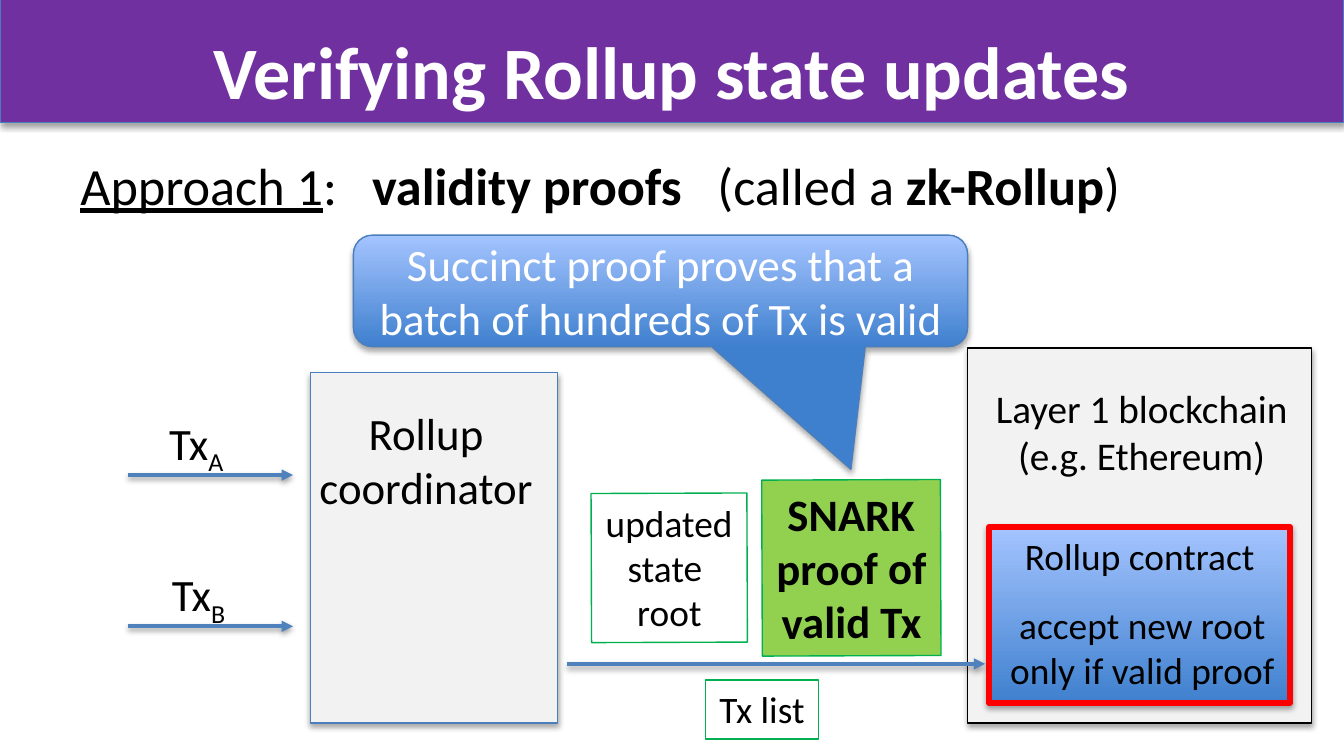
from dataclasses import dataclass

from lxml.etree import SubElement
from pptx import Presentation
from pptx.dml.color import RGBColor
from pptx.enum.shapes import MSO_CONNECTOR, MSO_SHAPE
from pptx.enum.text import MSO_ANCHOR, PP_ALIGN
from pptx.oxml.ns import qn
from pptx.util import Inches, Pt


@dataclass(frozen=True)
class Theme:
    font: str = "Calibri"
    title: float = 39.6
    body: float = 28
    label: float = 24
    chain: float = 21
    small: float = 20
    black: str = "000000"
    white: str = "FFFFFF"
    purple: str = "7030A0"
    edge: str = "4B7EBC"
    arrow: str = "4F81BD"
    panel: str = "F2F2F2"
    lime: str = "92D050"
    green: str = "00B050"
    red: str = "FF0000"
    gradient: tuple = ("3F80CE", "A4C4FF")


THEME = Theme()
COLUMNS, ROWS = 100, 56.25
CELL = Inches(10) / COLUMNS
BOLD = {"bold": True}
LINE_BREAK = ("\n", {})


def cells(*counts):
    """Turn counts of grid cells into lengths."""
    return [round(count * CELL) for count in counts]


def set_effects(shape, opacity=0, distance=1.8):
    """Replace the theme shadow with a soft one below, or with none."""
    effects = SubElement(shape._element.spPr, qn("a:effectLst"))
    if opacity:
        shadow = SubElement(effects, qn("a:outerShdw"), blurRad=str(Pt(3.1)),
                            dist=str(Pt(distance)), dir="5400000", rotWithShape="0")
        color = SubElement(shadow, qn("a:srgbClr"), val=THEME.black)
        SubElement(color, qn("a:alpha"), val=str(opacity * 1000))


def add_tabs(paragraph, stops):
    tabs = SubElement(paragraph._p.get_or_add_pPr(), qn("a:tabLst"))
    for stop in stops:
        SubElement(tabs, qn("a:tab"), pos=str(cells(stop)[0]), algn="l")


def add_run(paragraph, text, size, color, extra):
    run = paragraph.add_run()
    run.text = text
    run.font.color.rgb = RGBColor.from_string(color)
    values = {"name": THEME.font, "size": Pt(size), **extra}
    baseline = values.pop("baseline", None)
    for name, value in values.items():
        setattr(run.font, name, value)
    if baseline:
        run._r.get_or_add_rPr().set("baseline", str(baseline))


def write(shape, paragraphs, size, color=THEME.black, align=PP_ALIGN.CENTER,
          wrap=False, anchor=MSO_ANCHOR.TOP, tabs=()):
    """Fill a shape with paragraphs; each is a list of (text, format) runs."""
    frame = shape.text_frame
    frame.word_wrap = wrap
    frame.vertical_anchor = anchor
    for index, runs in enumerate(paragraphs):
        paragraph = frame.paragraphs[0] if index == 0 else frame.add_paragraph()
        paragraph.alignment = align
        if tabs:
            add_tabs(paragraph, tabs)
        for part in runs:
            if part == LINE_BREAK:
                paragraph.add_line_break()
            else:
                add_run(paragraph, part[0], size, color, part[1])


def lines(*texts, **extra):
    return [[(text, extra)] for text in texts]


def add_text(slide, box, paragraphs, size, **options):
    text_box = slide.shapes.add_textbox(*cells(*box))
    write(text_box, paragraphs, size, **options)


def add_box(slide, box, fill=None, line=THEME.edge, weight=0.75, shadow=True,
            kind=MSO_SHAPE.RECTANGLE, rotation=0):
    """Draw a preset shape; a tuple as fill gives a bottom-to-top gradient."""
    shape = slide.shapes.add_shape(kind, *cells(*box))
    shape.rotation = rotation
    if isinstance(fill, tuple):
        shape.fill.gradient()
        shape.fill.gradient_angle = 90
        for stop, color in zip(shape.fill.gradient_stops, fill):
            stop.color.rgb = RGBColor.from_string(color)
    elif fill:
        shape.fill.solid()
        shape.fill.fore_color.rgb = RGBColor.from_string(fill)
    else:
        shape.fill.background()
    shape.line.color.rgb = RGBColor.from_string(line)
    shape.line.width = Pt(weight)
    set_effects(shape, 35 if shadow else 0)
    return shape


def add_arrow(slide, left, right, row):
    arrow = slide.shapes.add_connector(MSO_CONNECTOR.STRAIGHT,
                                       *cells(left, row, right, row))
    arrow.line.color.rgb = RGBColor.from_string(THEME.arrow)
    arrow.line.width = Pt(2)
    SubElement(arrow.line._get_or_add_ln(), qn("a:tailEnd"), type="triangle")
    set_effects(arrow, 38, 1.6)


def add_heading(slide):
    add_box(slide, (0, -0.1, COLUMNS, 9.2), THEME.purple)
    add_text(slide, (5, 1.4, 90, 6.8), lines("Verifying Rollup state updates", bold=True),
             THEME.title, color=THEME.white)
    approach = [("Approach 1", {"underline": True}), (":\t", {}),
                ("validity proofs\t", BOLD), ("(called a ", {}),
                ("zk-Rollup", BOLD), (")", {})]
    add_text(slide, (5, 10.9, 90, 6.8), [approach], THEME.body,
             align=PP_ALIGN.LEFT, wrap=True, tabs=(21.7, 47.4))


def add_transaction(slide, name, left, row):
    """Draw an incoming transaction: an arrow with its label above."""
    add_arrow(slide, 9.5, 21.8, row)
    add_text(slide, (left, row - 4.9, 7.6, 5),
             [[("Tx", {}), (name, {"baseline": -25000})]], THEME.label,
             align=PP_ALIGN.LEFT, wrap=True)


def add_message(slide, box, texts, size, fill=None, rotation=0, **extra):
    """Draw a green-edged part of the data sent to the chain."""
    shape = add_box(slide, box, fill, THEME.green, shadow=False, rotation=rotation)
    write(shape, lines(*texts, **extra), size)


def main():
    presentation = Presentation()
    presentation.slide_width, presentation.slide_height = cells(COLUMNS, ROWS)
    slide = presentation.slides.add_slide(presentation.slide_layouts[6])

    add_heading(slide)

    # Incoming transactions
    add_transaction(slide, "A", 11.6, 35.35)
    add_transaction(slide, "B", 11.8, 46.6)

    # Coordinator
    add_box(slide, (23.1, 27.7, 18.4, 26.1), THEME.panel)
    add_text(slide, (22.7, 29.7, 18, 9.1),
             [[("Rollup", {}), LINE_BREAK, ("coordinator", {})]], THEME.label)

    # Blockchain with the contract inside
    add_box(slide, (72, 25.9, 25.6, 27.9), THEME.panel, THEME.black)
    add_text(slide, (73, 28.1, 23.9, 8.1),
             lines("Layer 1 blockchain", "(e.g. Ethereum)"), THEME.chain)
    contract = add_box(slide, (73.6, 39.2, 22.4, 13.1), THEME.gradient, THEME.red, 3)
    write(contract, lines("Rollup contract"), THEME.small, wrap=True)

    # Data sent to the contract
    add_arrow(slide, 42.2, 73.3, 49.4)
    add_message(slide, (44, 36.7, 11.6, 11.1), ("updated", "state ", "root"),
                THEME.small, rotation=-0.2)
    add_message(slide, (56.7, 35.7, 13.3, 13.1), ("SNARK", "proof of", "valid Tx"),
                THEME.label, THEME.lime, rotation=-0.2, bold=True)
    add_message(slide, (52.5, 50.6, 8.4, 4.4), ("Tx list",), THEME.small)
    add_text(slide, (74.1, 44.3, 21.8, 7.7),
             lines("accept new root", "only if valid proof"), THEME.small)

    # Callout pointing at the proof
    callout = add_box(slide, (26.3, 17.5, 45.7, 8.3), THEME.gradient,
                      kind=MSO_SHAPE.ROUNDED_RECTANGULAR_CALLOUT)
    for index, value in enumerate((0.31, 1.6, 0.17)):
        callout.adjustments[index] = value
    write(callout, lines("Succinct proof proves that a batch of hundreds of Tx is valid"),
          THEME.label, color=THEME.white, wrap=True, anchor=MSO_ANCHOR.MIDDLE)

    presentation.save("out.pptx")


if __name__ == "__main__":
    main()
